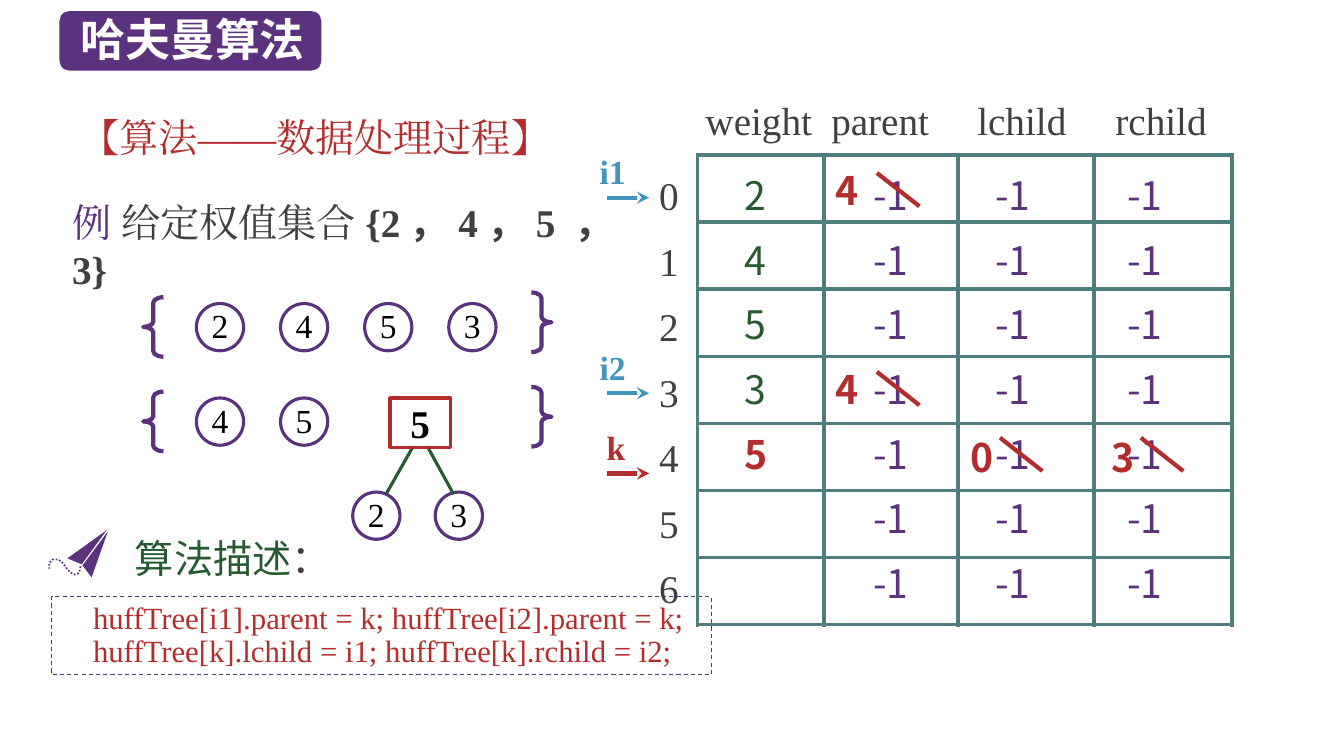
"""Build the slide that traces one merge step of the Huffman algorithm."""
from dataclasses import dataclass

from lxml import etree
from pptx import Presentation
from pptx.dml.color import RGBColor
from pptx.enum.dml import MSO_LINE
from pptx.enum.shapes import MSO_CONNECTOR, MSO_SHAPE
from pptx.enum.text import MSO_ANCHOR, MSO_AUTO_SIZE, PP_ALIGN
from pptx.oxml.ns import qn
from pptx.util import Cm, Pt

STRAIGHT = MSO_CONNECTOR.STRAIGHT
BRACE, OVAL, RECT, ROUNDED = (MSO_SHAPE.LEFT_BRACE, MSO_SHAPE.OVAL,
                              MSO_SHAPE.RECTANGLE, MSO_SHAPE.ROUNDED_RECTANGLE)
DASH, DOT = MSO_LINE.DASH, MSO_LINE.ROUND_DOT
TOP, MIDDLE = MSO_ANCHOR.TOP, MSO_ANCHOR.MIDDLE
LEFT, CENTER = PP_ALIGN.LEFT, PP_ALIGN.CENTER
NO_AUTOFIT = MSO_AUTO_SIZE.NONE
SERIF, SANS = "Times New Roman", "Noto Sans CJK SC"
COLORS = {"purple": "5A327D", "red": "B42D2D", "green": "285A32", "gray": "404040",
          "teal": "507D7D", "blue": "4196BE", "black": "000000", "white": "FFFFFF"}


@dataclass
class Style:
    size: float
    font: str
    color: str
    bold: bool = False


@dataclass
class Label:
    text: str
    left: float
    top: float
    width: float
    height: float
    style: Style
    anchor: MSO_ANCHOR = TOP
    wrap: bool = True


@dataclass
class Pointer:
    name: str
    label_left: float
    line_top: float
    color: str


@dataclass
class Correction:
    value: str
    left: float
    top: float
    strike_dx: float
    strike_dy: float


@dataclass
class Column:
    heading: str
    heading_left: float
    width: float
    indent: float
    values: list[str]
    color: str


COLUMNS = [
    Column("weight", 17.53, 3.18, 1.19, ["2", "4", "5", "3", "5", "", ""], "green"),
    Column("parent", 20.7, 3.38, 1.25, ["-1"] * 7, "purple"),
    Column("lchild", 24.38, 3.43, 0.94, ["-1"] * 7, "purple"),
    Column("rchild", 27.86, 3.48, 0.84, ["-1"] * 7, "purple"),
]
ROW_COUNT, ROW_HEIGHT, MERGED_ROW = 7, 1.69, 4
POINTERS = [Pointer("i1", 14.86, 4.98, "blue"), Pointer("i2", 14.86, 9.91, "blue"),
            Pointer("k", 15.04, 11.93, "red")]
CORRECTIONS = [Correction("4", 20.8, 4.06, 1.3, 0.3), Correction("4", 20.8, 9.07, 1.3, 0.3),
               Correction("0", 24.21, 10.8, 0.99, 0.23), Correction("3", 27.76, 10.8, 0.99, 0.23)]
FORESTS = [(7.65, ["2", "4", "5", "3"]), (10.03, ["4", "5"])]
LEAVES = [("2", 8.89), ("3", 10.97)]
EDGES = [(9.73, 12.45, 10.41, 11.25), (10.77, 11.25, 11.43, 12.45)]
PLANE_WINGS = [[(2.72, 13.39), (2.31, 14.55), (2.08, 14.25)],
               [(2.69, 13.36), (2.06, 14.22), (1.7, 14.07)]]
PLANE_TRAIL = [(2.03, 14.27), (2.01, 14.38), (1.97, 14.45), (1.88, 14.48), (1.78, 14.43),
               (1.7, 14.35), (1.63, 14.25), (1.55, 14.15), (1.45, 14.1), (1.32, 14.1),
               (1.24, 14.2), (1.24, 14.33)]
EXAMPLE = [("例", SERIF, "purple", False), (" 给定权值集合", SERIF, "gray", False),
           ("{2", SERIF, "gray", True), ("，", SANS, "gray", True), ("4", SERIF, "gray", True),
           ("，", SANS, "gray", True), ("5 ", SERIF, "gray", True), ("，", SANS, "gray", True),
           ("3}", SERIF, "gray", True)]
CODE = ["huffTree[i1].parent = k; huffTree[i2].parent = k;",
        "huffTree[k].lchild = i1; huffTree[k].rchild = i2;"]


def rgb(name: str) -> RGBColor:
    return RGBColor.from_string(COLORS[name])


def style_span(span, style: Style) -> None:
    font = span.font
    font.size, font.name, font.bold = Pt(style.size), style.font, style.bold
    font.color.rgb = rgb(style.color)
    font._element.find(qn("a:latin")).addnext(
        etree.Element(qn("a:ea"), {"typeface": style.font}))


def style_frame(frame, style: Style) -> None:
    for para in frame.paragraphs:
        for span in para.runs:
            style_span(span, style)


def place(shape, left: float, top: float, width: float, height: float) -> None:
    shape.left, shape.top, shape.width, shape.height = map(Cm, (left, top, width, height))


def add_label(page, label: Label):
    box = page.shapes.add_textbox(*map(Cm, (label.left, label.top, label.width, label.height)))
    frame = box.text_frame
    frame.word_wrap, frame.vertical_anchor, frame.text = label.wrap, label.anchor, label.text
    style_frame(frame, label.style)
    return frame


def paint(shape, fill: str = "", line: str = "", weight: float = 0):
    shape.shadow.inherit = False
    if fill:
        shape.fill.solid()
        shape.fill.fore_color.rgb = rgb(fill)
    else:
        shape.fill.background()
    if line:
        shape.line.color.rgb, shape.line.width = rgb(line), Pt(weight)
    else:
        shape.line.fill.background()
    return shape


def add_node(page, kind, text: str, left: float, top: float, width: float, height: float,
             line: str, style: Style, anchor: MSO_ANCHOR):
    node = paint(page.shapes.add_shape(kind, *map(Cm, (left, top, width, height))),
                 line=line, weight=2.25)
    frame = node.text_frame
    frame.margin_left = frame.margin_right = frame.margin_top = frame.margin_bottom = 0
    frame.vertical_anchor, frame.text = anchor, text
    frame.paragraphs[0].alignment = CENTER
    style_frame(frame, style)
    return frame


def add_circle(page, text: str, left: float, top: float) -> None:
    frame = add_node(page, OVAL, text, left, top, 1.19, 1.19, "purple",
                     Style(24, SERIF, "black"), TOP)
    frame.paragraphs[0].line_spacing = Pt(25)


def add_line(page, ends: tuple, color: str, weight: float, arrow: bool = False) -> None:
    line = page.shapes.add_connector(STRAIGHT, *map(Cm, ends))
    line.line.color.rgb, line.line.width = rgb(color), Pt(weight)
    if arrow:
        etree.SubElement(line.line._get_or_add_ln(), qn("a:tailEnd"), type="stealth")
    etree.SubElement(line.element.spPr, qn("a:effectLst"))


def add_outline(page, points: list, closed: bool):
    start, *rest = [(Cm(x), Cm(y)) for x, y in points]
    builder = page.shapes.build_freeform(*start)
    builder.add_line_segments(rest, close=closed)
    return builder.convert_to_shape()


def add_borders(cell) -> None:
    for position, side in enumerate(("lnL", "lnR", "lnT", "lnB")):
        border = etree.Element(qn(f"a:{side}"), w=str(Pt(3)))
        fill = etree.SubElement(border, qn("a:solidFill"))
        etree.SubElement(fill, qn("a:srgbClr"), val=COLORS["teal"])
        cell._tc.get_or_add_tcPr().insert(position, border)


def add_node_table(page) -> None:
    width = sum(column.width for column in COLUMNS)
    table = page.shapes.add_table(ROW_COUNT, len(COLUMNS), Cm(17.58), Cm(3.91), Cm(width),
                                  Cm(ROW_COUNT * ROW_HEIGHT)).table
    table.first_row = table.horz_banding = False
    for index, column in enumerate(COLUMNS):
        add_label(page, Label(column.heading, column.heading_left, 2.29, 3.4, 1.45,
                              Style(28, SERIF, "gray"), MIDDLE))
        table.columns[index].width = Cm(column.width)
        for row, value in enumerate(column.values):
            table.rows[row].height = Cm(ROW_HEIGHT)
            cell = table.cell(row, index)
            cell.fill.background()
            add_borders(cell)
            cell.margin_left, cell.margin_right = Cm(column.indent), 0
            cell.margin_top, cell.margin_bottom = Cm(0.69 - 0.06 * row), 0
            cell.text_frame.text = value
            cell.text_frame.paragraphs[0].line_spacing = Pt(28)
            merged = row == MERGED_ROW and column.heading == "weight"
            style_frame(cell.text_frame,
                        Style(28, SANS, "red" if merged else column.color, merged))
    numbers = add_label(page, Label("\n".join(map(str, range(ROW_COUNT))), 16.36, 4.06, 1.02,
                                    11.56, Style(28, SERIF, "gray"), MIDDLE, False))
    for para in numbers.paragraphs:
        para.line_spacing, para.space_before = 1.05, Pt(11.5)


def add_forests(page) -> None:
    for top, weights in FORESTS:
        for left, brace_top, turn in ((3.61, top - 0.16, 0), (13.39, top - 0.28, 180)):
            brace = page.shapes.add_shape(BRACE, *map(Cm, (left, brace_top, 0.51, 1.5)))
            paint(brace, line="purple", weight=3).rotation = turn
            brace.adjustments[0] = 0.27
        for index, weight in enumerate(weights):
            add_circle(page, weight, 4.95 + 2.12 * index, top)
    for weight, left in LEAVES:
        add_circle(page, weight, left, 12.4)
    for ends in EDGES:
        add_line(page, ends, "green", 2.25)
    add_node(page, RECT, "5", 9.83, 10.03, 1.52, 1.24, "red",
             Style(28, SERIF, "black", True), MIDDLE)


def add_code(body) -> None:
    place(body, 1.3, 15.04, 16.64, 1.96)
    body.line.color.rgb, body.line.width, body.line.dash_style = rgb("purple"), Pt(0.75), DASH
    frame = body.text_frame
    frame.auto_size, frame.text = NO_AUTOFIT, "\n".join(CODE)
    for para in frame.paragraphs:
        para.line_spacing, para.space_before = Pt(24), Pt(0)
        properties = para._p.get_or_add_pPr()
        properties.set("marL", str(Cm(0.79)))
        properties.set("indent", "0")
        etree.SubElement(properties, qn("a:buNone"))
    style_frame(frame, Style(22, SERIF, "red"))


def main() -> None:
    deck = Presentation()
    deck.slide_width, deck.slide_height = Cm(33.87), Cm(19.05)
    page = deck.slides.add_slide(deck.slide_layouts[1])
    title, body = page.placeholders
    badge = paint(page.shapes.add_shape(ROUNDED, *map(Cm, (1.5, 0.28, 6.6, 1.5))), "purple")
    title.element.addprevious(badge.element)
    place(title, 1.78, 0.18, 6.32, 1.63)
    title.text_frame.text = "哈夫曼算法"
    title.text_frame.auto_size, title.text_frame.vertical_anchor = NO_AUTOFIT, TOP
    title.text_frame.paragraphs[0].alignment = LEFT
    style_frame(title.text_frame, Style(32, SANS, "white", True))
    add_code(body)
    add_label(page, Label("【算法——数据处理过程】", 1.78, 2.64, 28.68, 1.6,
                          Style(28, SERIF, "red"), MIDDLE))
    example = add_label(page, Label("", 1.57, 4.88, 14.35, 1.45, Style(28, SERIF, "gray")))
    caption = add_label(page, Label("算法描述", 3.15, 13.34, 7.32, 1.45,
                                    Style(28, SANS, "green")))
    for frame, spans in ((example, EXAMPLE), (caption, [("：", SANS, "gray", False)])):
        for text, font, color, bold in spans:
            span = frame.paragraphs[0].add_run()
            span.text = text
            style_span(span, Style(28, font, color, bold))
    add_forests(page)
    add_node_table(page)
    for pointer in POINTERS:
        add_line(page, (15.3, pointer.line_top, 16.36, pointer.line_top), pointer.color, 3, True)
        add_label(page, Label(pointer.name, pointer.label_left, pointer.line_top - 1.32, 1.17,
                              1.3, Style(24, SERIF, pointer.color, True), MIDDLE, False))
    for fix in CORRECTIONS:
        left, top = fix.left + fix.strike_dx, fix.top + fix.strike_dy
        add_line(page, (left, top, left + 1.07, top + 0.84), "red", 3)
        add_label(page, Label(fix.value, fix.left, fix.top, 1.88, 1.45,
                              Style(28, SANS, "red", True)))
    for wing in PLANE_WINGS:
        paint(add_outline(page, wing, True), "purple")
    trail = paint(add_outline(page, PLANE_TRAIL, False), line="purple", weight=1.25)
    trail.line.dash_style = DOT
    deck.save("out.pptx")


if __name__ == "__main__":
    main()
